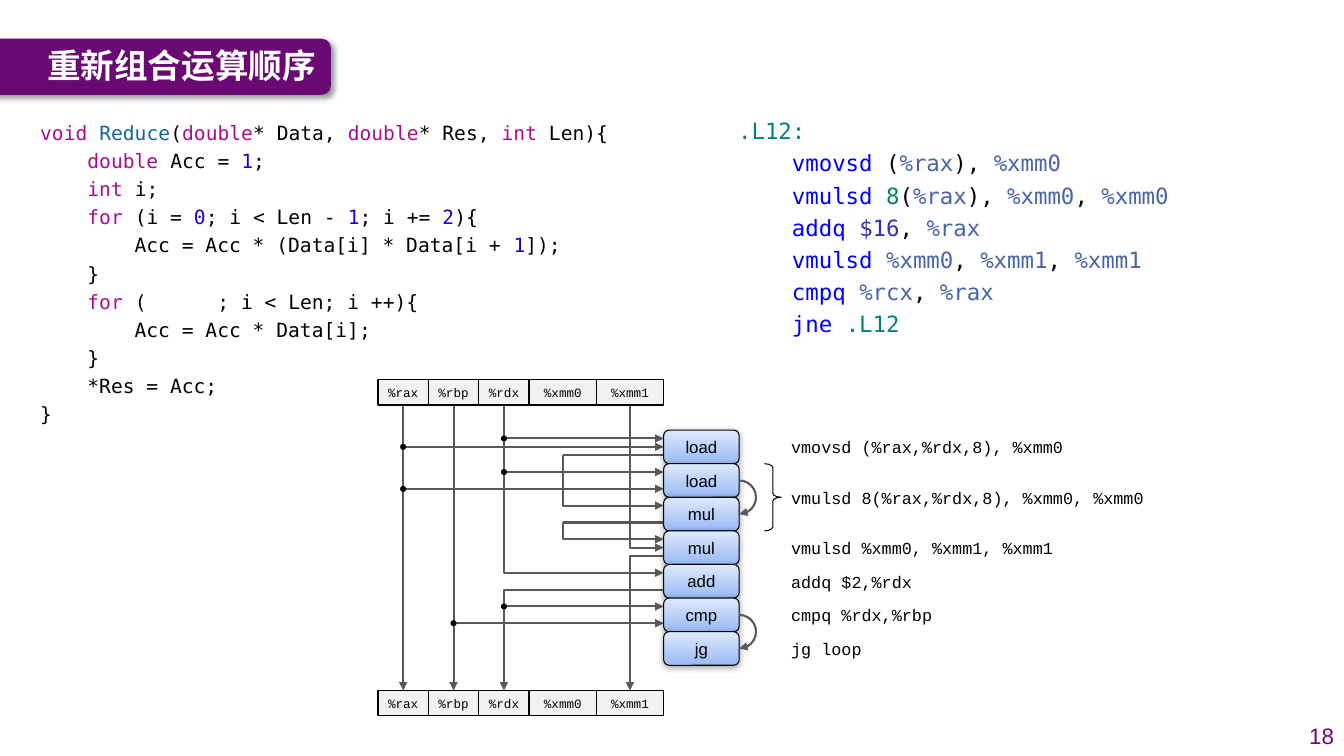
from dataclasses import dataclass

from lxml import etree
from pptx import Presentation
from pptx.dml.color import RGBColor
from pptx.enum.shapes import MSO_CONNECTOR, MSO_SHAPE
from pptx.enum.text import MSO_ANCHOR, MSO_AUTO_SIZE, PP_ALIGN
from pptx.oxml.ns import qn
from pptx.util import Inches, Pt

STRAIGHT, ELBOW = MSO_CONNECTOR.STRAIGHT, MSO_CONNECTOR.ELBOW
RECT, ROUNDED, OVAL = MSO_SHAPE.RECTANGLE, MSO_SHAPE.ROUNDED_RECTANGLE, MSO_SHAPE.OVAL
ARC, BRACE = MSO_SHAPE.ARC, MSO_SHAPE.RIGHT_BRACE
LEFT, CENTER, RIGHT = PP_ALIGN.LEFT, PP_ALIGN.CENTER, PP_ALIGN.RIGHT
TOP, MIDDLE = MSO_ANCHOR.TOP, MSO_ANCHOR.MIDDLE
NO_FIT = MSO_AUTO_SIZE.NONE
CELLS_PER_INCH = 12


@dataclass(frozen=True)
class Theme:
    """Colours, fonts and type sizes of the deck."""
    purple: str = "6A0874"
    white: str = "FFFFFF"
    black: str = "000000"
    wire: str = "595959"
    register: str = "F2F2F2"
    unit_low: str = "98BAF6"
    unit_high: str = "E0E9FB"
    keyword: str = "AA0D91"
    function: str = "0F68A0"
    number: str = "1C00CF"
    label: str = "008080"
    opcode: str = "0000FF"
    operand: str = "4864AA"
    offset: str = "098658"
    immediate: str = "3030C0"
    title_font: str = "Noto Sans CJK SC"
    plain_font: str = "Arial"
    code_font: str = "DejaVu Sans Mono"
    label_font: str = "Courier New"
    title_size: int = 24
    large: int = 16
    medium: int = 14
    small: int = 12
    tiny: int = 9


@dataclass(frozen=True)
class Box:
    """A rectangle in grid cells."""
    col: float
    row: float
    cols: float
    rows: float

    def inner(self, col, row, cols, rows):
        """Return a box placed relative to this one."""
        return Box(self.col + col, self.row + row, cols, rows)

    def lengths(self):
        """Return left, top, width and height as lengths."""
        return [cells(n) for n in (self.col, self.row, self.cols, self.rows)]


THEME = Theme()
C_CODE = [
    [("void ", "keyword"), ("Reduce", "function"), ("(", "black"), ("double", "keyword"),
     ("* Data, ", "black"), ("double", "keyword"), ("* Res, ", "black"), ("int", "keyword"),
     (" Len){", "black")],
    [("    double", "keyword"), (" Acc = ", "black"), ("1", "number"), (";", "black")],
    [("    int ", "keyword"), ("i;", "black")],
    [("    for", "keyword"), (" (i = ", "black"), ("0", "number"), ("; i < Len - ", "black"),
     ("1", "number"), ("; i += ", "black"), ("2", "number"), ("){", "black")],
    [("        Acc = Acc * (Data[i] * Data[i + ", "black"), ("1", "number"), ("]);", "black")],
    [("    }", "black")],
    [("    for", "keyword"), (" (      ; i < Len; i ++){", "black")],
    [("        Acc = Acc * Data[i];", "black")],
    [("    }", "black")],
    [("    *Res = Acc;", "black")],
    [("}", "black")],
]
ASSEMBLY = [
    [(".L12:", "label")],
    [("    vmovsd", "opcode"), (" (", "black"), ("%rax", "operand"), ("), ", "black"),
     ("%xmm0", "operand")],
    [("    vmulsd ", "opcode"), ("8", "offset"), ("(", "black"), ("%rax", "operand"),
     ("), ", "black"), ("%xmm0", "operand"), (", ", "black"), ("%xmm0", "operand")],
    [("    addq ", "opcode"), ("$16", "immediate"), (", ", "black"), ("%rax", "operand")],
    [("    vmulsd ", "opcode"), ("%xmm0", "operand"), (", ", "black"), ("%xmm1", "operand"),
     (", ", "black"), ("%xmm1", "operand")],
    [("    cmpq ", "opcode"), ("%rcx", "operand"), (", ", "black"), ("%rax", "operand")],
    [("    jne ", "opcode"), (".L12", "label")],
]
REGISTERS = [("%rax", 6), ("%rbp", 6), ("%rdx", 6), ("%xmm0", 8), ("%xmm1", 8)]
UNITS = ["load", "load", "mul", "mul", "add", "cmp", "jg"]
INSTRUCTIONS = [(0, "vmovsd (%rax,%rdx,8), %xmm0"), (1.5, "vmulsd 8(%rax,%rdx,8), %xmm0, %xmm0"),
                (3, "vmulsd %xmm0, %xmm1, %xmm1"), (4, "addq $2,%rdx"),
                (5, "cmpq %rdx,%rbp"), (6, "jg loop")]
RAX, RBP, RDX, XMM0, XMM1, UNIT_COL = 3, 9, 15, 22, 30, 34
HEAD_ROW, FIRST_ROW, LAST_ROW, UNIT_ROWS = 3, 6, 37, 4
INPUTS = [(RAX, HEAD_ROW, 8), (RAX, HEAD_ROW, 13), (RDX, HEAD_ROW, 7), (RDX, HEAD_ROW, 11),
          (RDX, HEAD_ROW, 23), (RDX, 25, 27), (XMM0, 9, 15), (XMM0, 17, 19), (XMM1, HEAD_ROW, 20)]
OUTPUTS = [(XMM1, 21), (RDX, 25)]
JUNCTIONS = [(RAX, 8), (RAX, 13), (RDX, 7), (RDX, 11), (RDX, 27), (RBP, 29)]


def cells(count):
    """Convert grid cells to a length."""
    return Inches(count / CELLS_PER_INCH)


def color(name):
    """Return a theme colour."""
    return RGBColor.from_string(getattr(THEME, name))


def write(shape, lines, font, size, align=LEFT, anchor=MIDDLE, margin=None, gap=0):
    """Write lines of coloured runs into a shape."""
    frame = shape.text_frame
    frame.word_wrap, frame.auto_size, frame.vertical_anchor = True, NO_FIT, anchor
    if margin is not None:
        frame.margin_left = frame.margin_right = frame.margin_top = frame.margin_bottom = margin
    for index, line in enumerate(lines):
        para = frame.add_paragraph() if index else frame.paragraphs[0]
        para.alignment = align
        para.space_before = Pt(gap if index else 0)
        for text, name in line:
            span = para.add_run()
            span.text = text
            span.font.name, span.font.size = font, Pt(size)
            span.font.color.rgb = color(name)
            etree.SubElement(span._r.get_or_add_rPr(), qn("a:ea"), typeface=font)


def add_shape(page, kind, box, fill=None, line=None, width=1):
    """Add a flat preset shape."""
    shape = page.shapes.add_shape(kind, *box.lengths())
    if fill:
        shape.fill.solid()
        shape.fill.fore_color.rgb = color(fill)
    else:
        shape.fill.background()
    if line:
        shape.line.color.rgb, shape.line.width = color(line), Pt(width)
    else:
        shape.line.fill.background()
    shape.shadow.inherit = False
    return shape


def add_shadow(shape, blur, distance, degrees, percent):
    """Give a shape a soft black shadow."""
    effects = shape._element.spPr.find(qn("a:effectLst"))
    shadow = etree.SubElement(effects, qn("a:outerShdw"), blurRad=str(Pt(blur)),
                              dist=str(Pt(distance)), dir=str(degrees * 60000), rotWithShape="0")
    ink = etree.SubElement(shadow, qn("a:srgbClr"), val=THEME.black)
    etree.SubElement(ink, qn("a:alpha"), val=str(percent * 1000))


def add_arrowhead(shape, end):
    """Put a triangle on the headEnd or tailEnd of a line."""
    etree.SubElement(shape.line._get_or_add_ln(), qn("a:" + end), type="triangle")


def add_wire(page, box, start, finish, arrow=None):
    """Draw a straight wire, or one that leaves sideways and turns once."""
    straight = start[0] == finish[0] or start[1] == finish[1]
    ends = [cells(n) for col, row in (start, finish) for n in (box.col + col, box.row + row)]
    wire = page.shapes.add_connector(STRAIGHT if straight else ELBOW, *ends)
    properties = wire._element.spPr
    if not straight:
        properties.find(qn("a:prstGeom")).set("prst", "bentConnector2")
    wire.line.color.rgb, wire.line.width = color("wire"), Pt(1.5)
    if arrow:
        add_arrowhead(wire, arrow)
    etree.SubElement(properties, qn("a:effectLst"))


def add_title(page, box, text):
    """Place the title on its purple banner."""
    banner = add_shape(page, ROUNDED, box, "purple")
    add_shadow(banner, 4, 3, 45, 40)
    page.shapes._spTree.insert(2, banner._element)
    title = page.shapes.title
    title.left, title.top, title.width, title.height = box.inner(12.8, -0.2, 35, 6.6).lengths()
    write(title, [[(text, "white")]], THEME.title_font, THEME.title_size)
    title.text_frame.paragraphs[0].runs[0].font.bold = True


def add_text(page, box, lines, font, size, **options):
    """Place a text box."""
    write(page.shapes.add_textbox(*box.lengths()), lines, font, size, **options)


def add_registers(page, box):
    """Draw one row of register cells."""
    col = 0
    for name, cols in REGISTERS:
        cell = add_shape(page, RECT, box.inner(col, 0, cols, box.rows), "register", "black")
        write(cell, [[(name, "black")]], THEME.label_font, THEME.tiny, CENTER, margin=0)
        col += cols


def add_wires(page, box):
    """Draw the wires between registers and units."""
    for col in (RAX, RBP):
        add_wire(page, box, (col, HEAD_ROW), (col, LAST_ROW), "tailEnd")
    for col, top, row in INPUTS:
        add_wire(page, box, (UNIT_COL, row), (col, top), "headEnd")
    for col, row in OUTPUTS:
        add_wire(page, box, (UNIT_COL, row), (col, LAST_ROW), "tailEnd")
    for row in (9, 17):
        add_wire(page, box, (XMM0, row), (UNIT_COL, row))
    add_wire(page, box, (RBP, 29), (UNIT_COL, 29), "tailEnd")
    for col, row in JUNCTIONS:
        add_shape(page, OVAL, box.inner(col - 0.36, row - 0.36, 0.72, 0.72), "black")


def add_units(page, box):
    """Draw the stack of units with its arcs, brace and instructions."""
    for index, name in enumerate(UNITS):
        unit = add_shape(page, ROUNDED, box.inner(0, index * UNIT_ROWS, 9, UNIT_ROWS),
                         "unit_low", "black", 0.75)
        unit.fill.gradient()
        unit.fill.gradient_angle = 90
        for stop, shade in zip(unit.fill.gradient_stops, ("unit_low", "unit_high")):
            stop.color.rgb = color(shade)
        add_shadow(unit, 5, 1.6, 90, 38)
        write(unit, [[(name, "black")]], THEME.plain_font, THEME.small, CENTER, margin=0)
    for row in (1.5, 5.5):
        arc = add_shape(page, ARC, box.inner(7, row * UNIT_ROWS, 4, UNIT_ROWS), None, "wire", 1.5)
        arc.adjustments[0], arc.adjustments[1] = 162, 54
        add_arrowhead(arc, "tailEnd")
    brace = add_shape(page, BRACE, box.inner(12, UNIT_ROWS, 2, 2 * UNIT_ROWS), None, "black", 0.75)
    brace.adjustments[0] = 0.24
    for row, text in INSTRUCTIONS:
        add_text(page, box.inner(14, row * UNIT_ROWS, 47, UNIT_ROWS), [[(text, "black")]],
                 THEME.label_font, THEME.small)


def add_diagram(page, box):
    """Draw the data flow between the two register rows."""
    add_wires(page, box)
    for row in (0, LAST_ROW):
        add_registers(page, box.inner(0, row, UNIT_COL, HEAD_ROW))
    add_units(page, box.inner(UNIT_COL, FIRST_ROW, 9, len(UNITS) * UNIT_ROWS))


def main():
    """Build and save the deck."""
    deck = Presentation()
    deck.slide_width, deck.slide_height = cells(160), cells(90)
    page = deck.slides.add_slide(deck.slide_layouts[5])
    add_title(page, Box(-8.4, 4.6, 47.8, 6.7), "重新组合运算顺序")
    add_text(page, Box(86.7, 13.4, 55.4, 27.7), ASSEMBLY, THEME.code_font, THEME.large,
             anchor=TOP, gap=3.75)
    add_text(page, Box(3.6, 13.8, 84.6, 37.9), C_CODE, THEME.code_font, THEME.medium,
             anchor=TOP, gap=3.3)
    add_diagram(page, Box(45, 45.2, 95, 40))
    add_text(page, Box(153.4, 85.2, 6.6, 4.8), [[("18", "purple")]], THEME.plain_font,
             THEME.large, align=RIGHT)
    deck.save("out.pptx")


if __name__ == "__main__":
    main()
